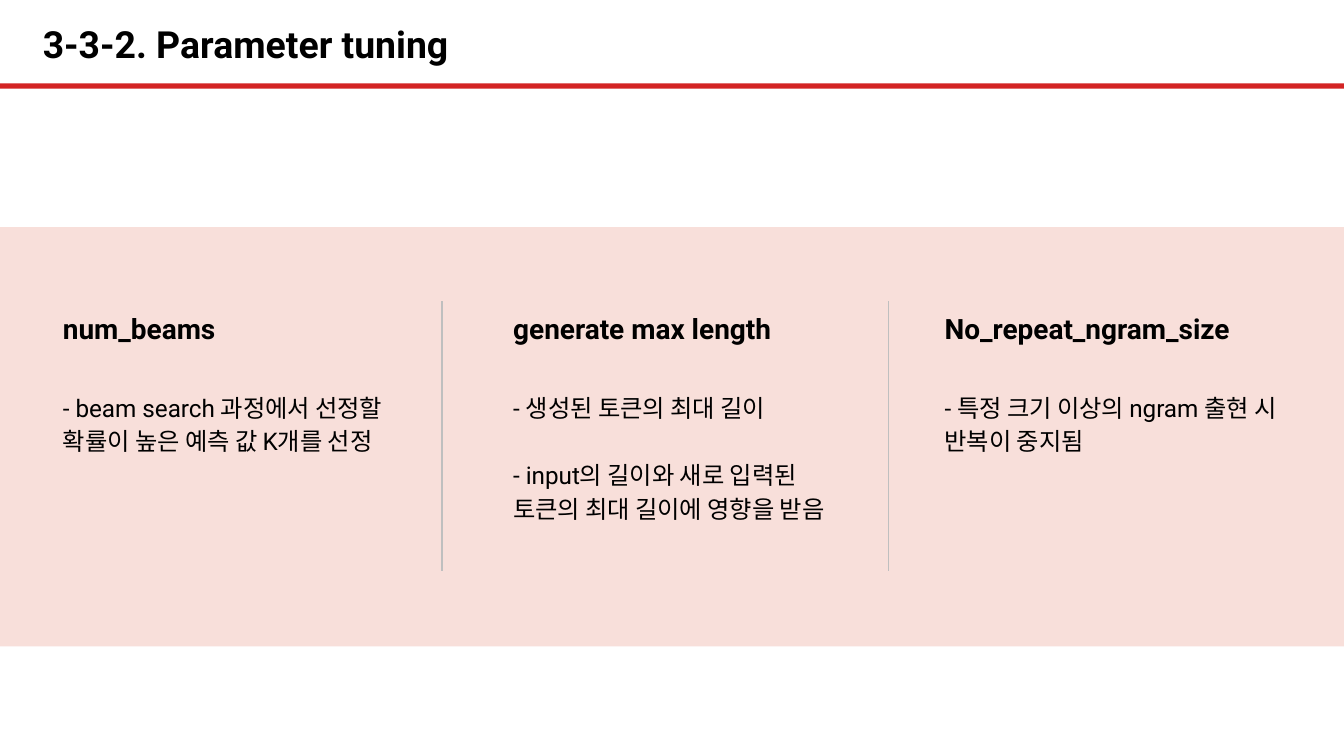
import pptx
import pptx.dml.color
import pptx.enum.shapes
import pptx.enum.text
import pptx.oxml.ns
import pptx.util
from lxml import etree

WIDTH = 10
HEIGHT = WIDTH * 9 / 16
FONT = "Roboto"
BAND_TOP, BAND_HEIGHT = 1.69, 3.12
COLUMN_TOP, COLUMN_HEIGHT = 2.18, 2.47
DIVIDER_TOP, DIVIDER_BOTTOM = 2.24, 4.25

# left, width, heading, points
COLUMNS = [
    (0.37, 2.83, "num_beams",
     ["- beam search 과정에서 선정할 확률이 높은 예측 값 K개를 선정"]),
    (3.72, 2.56, "generate max length",
     ["- 생성된 토큰의 최대 길이",
      "- input의 길이와 새로 입력된 토큰의 최대 길이에 영향을 받음"]),
    (6.93, 2.73, "No_repeat_ngram_size",
     ["- 특정 크기 이상의 ngram 출현 시 반복이 중지됨"]),
]
DIVIDERS = [3.29, 6.61]


def inches(*values):
    return [pptx.util.Inches(v) for v in values]


def paint(color_format, color):
    color_format.rgb = pptx.dml.color.RGBColor.from_string(color)


def add_bar(s, top, height, color, opacity):
    """Full-width rectangle with opacity in percent."""
    sp = s.shapes.add_shape(pptx.enum.shapes.MSO_SHAPE.RECTANGLE,
                            *inches(0, top, WIDTH, height))
    sp.shadow.inherit = False
    sp.line.fill.background()
    sp.fill.solid()
    paint(sp.fill.fore_color, color)
    rgb = sp._element.spPr.find(".//" + pptx.oxml.ns.qn("a:srgbClr"))
    etree.SubElement(rgb, pptx.oxml.ns.qn("a:alpha"), val=str(opacity * 1000))


def add_divider(s, x):
    line = s.shapes.add_connector(pptx.enum.shapes.MSO_CONNECTOR.STRAIGHT,
                                  *inches(x, DIVIDER_TOP, x, DIVIDER_BOTTOM))
    line.line.width = pptx.util.Pt(0.75)
    paint(line.line.color, "BFBFBF")
    etree.SubElement(line._element.spPr, pptx.oxml.ns.qn("a:effectLst"))


def add_text_box(s, left, top, width, height, inset):
    tf = s.shapes.add_textbox(*inches(left, top, width, height)).text_frame
    tf.word_wrap = True
    tf.margin_left = tf.margin_right = pptx.util.Inches(0.1)
    tf.margin_top = tf.margin_bottom = pptx.util.Inches(inset)
    return tf


def write(p, text, size, bold=False):
    p.text = text
    for r in p.runs:
        r.font.size = pptx.util.Pt(size)
        r.font.bold = bold
        r.font.name = FONT
        paint(r.font.color, "000000")


def add_title(s, text):
    tf = add_text_box(s, 0.22, 0.09, 5.44, 0.47, inset=0.05)
    tf.vertical_anchor = pptx.enum.text.MSO_ANCHOR.MIDDLE
    write(tf.paragraphs[0], text, 20, bold=True)


def add_column(s, left, width, heading, points):
    tf = add_text_box(s, left, COLUMN_TOP, width, COLUMN_HEIGHT, inset=0.1)
    write(tf.paragraphs[0], heading, 15, bold=True)
    for i, point in enumerate(points):
        p = tf.add_paragraph()
        p.space_before = pptx.util.Pt(18 if i else 23.5)
        write(p, point, 13)
    for p in tf.paragraphs:
        p.line_spacing = 1.15


def main():
    prs = pptx.Presentation()
    prs.slide_width, prs.slide_height = inches(WIDTH, HEIGHT)
    s = prs.slides.add_slide(prs.slide_layouts[6])
    add_bar(s, 0.62, 0.04, "CC0000", 86)
    add_title(s, "3-3-2. Parameter tuning")
    add_bar(s, BAND_TOP, BAND_HEIGHT, "E99686", 30)
    for x in DIVIDERS:
        add_divider(s, x)
    for column in COLUMNS:
        add_column(s, *column)
    prs.save("out.pptx")


if __name__ == "__main__":
    main()
